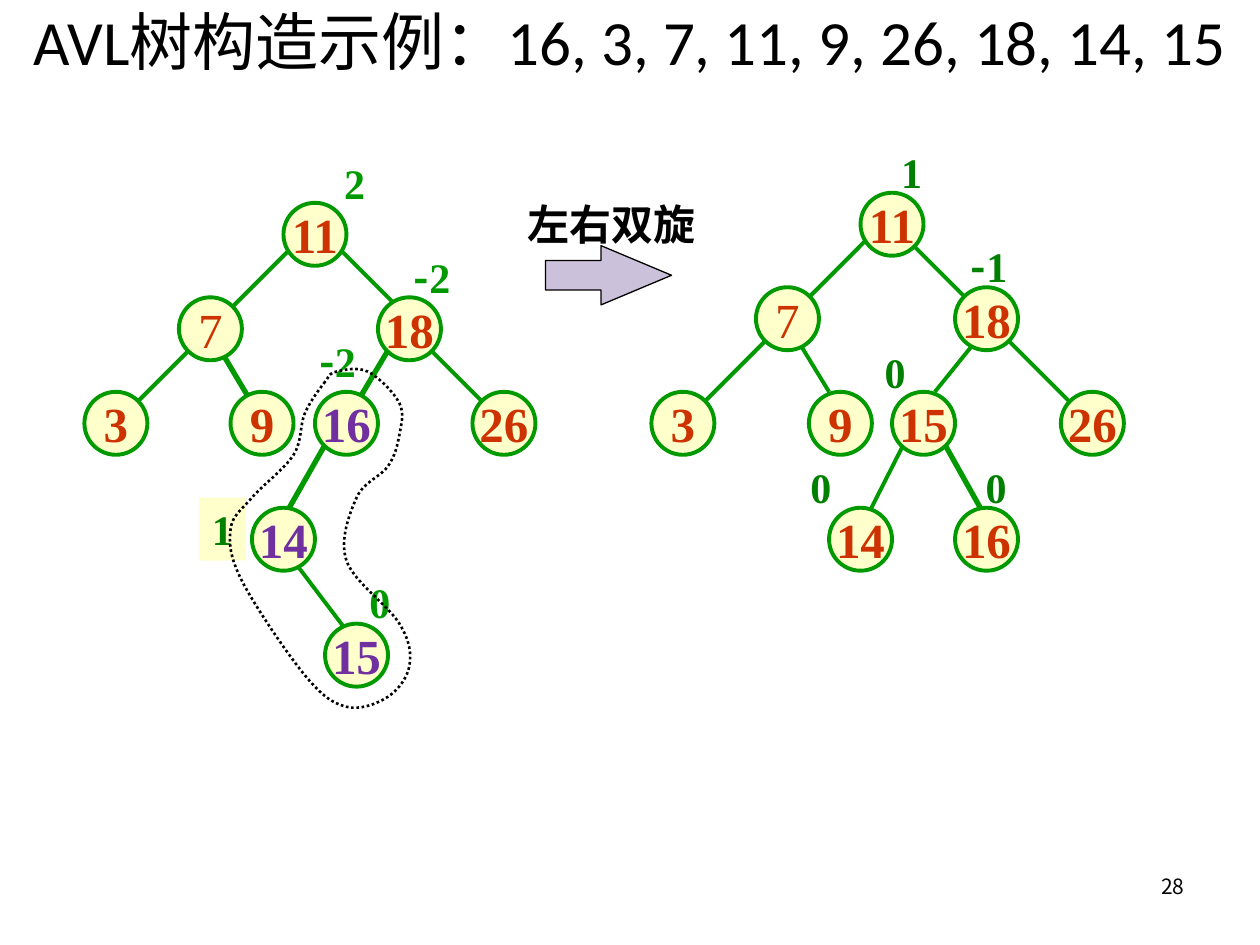
import lxml.etree
import pptx
import pptx.dml.color
import pptx.enum.dml
import pptx.enum.shapes
import pptx.enum.text
import pptx.oxml.ns
import pptx.util

Inches = pptx.util.Inches
Pt = pptx.util.Pt
RGBColor = pptx.dml.color.RGBColor
Shape = pptx.enum.shapes.MSO_SHAPE
Align = pptx.enum.text.PP_ALIGN
Anchor = pptx.enum.text.MSO_ANCHOR
AutoSize = pptx.enum.text.MSO_AUTO_SIZE
qn = pptx.oxml.ns.qn

BLACK = RGBColor(0x00, 0x00, 0x00)
GREEN = RGBColor(0x00, 0x99, 0x00)
DARK_GREEN = RGBColor(0x00, 0x80, 0x00)
CREAM = RGBColor(0xFF, 0xFF, 0xCC)
RED = RGBColor(0xCC, 0x33, 0x00)
PURPLE = RGBColor(0x70, 0x30, 0xA0)
LILAC = RGBColor(0xCC, 0xC1, 0xDA)

SERIF = "Times New Roman"
CJK = "Noto Sans CJK SC"
NODE_SIZE = 0.5
FRAME = {"word_wrap": False, "vertical_anchor": Anchor.TOP}

BEFORE = {
    "nodes": [
        ("11", 1.58, 0.5), ("7", 0.75, 1.25), ("18", 2.33, 1.25),
        ("3", 0, 2), ("9", 1.16, 2), ("16", 1.83, 2), ("26", 3.08, 2),
        ("14", 1.33, 2.92), ("15", 1.91, 3.84),
    ],
    "edges": [
        (1.75, 0.75, 1.16, 1.34), (2, 0.84, 2.5, 1.34),
        (0.91, 1.59, 0.25, 2.25), (1.66, 3.34, 2.16, 4),
        (2.75, 1.67, 3.25, 2.17),
    ],
    "thick_edges": [
        (1.08, 1.67, 1.33, 2.09), (2.41, 1.67, 2.16, 2.09),
        (1.91, 2.42, 1.58, 3),
    ],
    "balances": [
        ("2", 1.96, 0.09, GREEN), ("-2", 2.49, 0.84, GREEN),
        ("-2", 1.74, 1.5, GREEN), ("1", 0.91, 2.84, DARK_GREEN),
        ("0", 2.16, 3.42, GREEN),
    ],
    "rotated": {"16", "14", "15"},
    "highlighted": {"1"},
    "loop": [
        (1.91, 1.92), (1.75, 2.17), (1.66, 2.5), (1.33, 2.84), (1.16, 3.09),
        (1.25, 3.5), (1.75, 4.25), (2.08, 4.5), (2.41, 4.42), (2.58, 4.17),
        (2.5, 3.84), (2.08, 3.34), (2.16, 2.84), (2.41, 2.59), (2.5, 2.34),
        (2.5, 2.09), (2.25, 1.84), (2, 1.84),
    ],
}
AFTER = {
    "nodes": [
        ("11", 1.66, 0.42), ("7", 0.83, 1.17), ("18", 2.41, 1.17),
        ("3", 0, 2), ("9", 1.25, 2), ("15", 1.91, 2), ("26", 3.25, 2),
        ("14", 1.41, 2.92), ("16", 2.41, 2.92),
    ],
    "edges": [
        (1.75, 0.75, 1.16, 1.34), (2.08, 0.84, 2.58, 1.34),
        (0.91, 1.59, 0.41, 2.09), (1.16, 1.59, 1.41, 2),
        (2.58, 1.59, 2.25, 2), (2.83, 1.59, 3.58, 2.34),
        (2, 2.42, 1.66, 3.09),
    ],
    "thick_edges": [(2.33, 2.42, 2.75, 3.17)],
    "balances": [
        ("1", 1.88, 0, DARK_GREEN), ("-1", 2.41, 0.75, DARK_GREEN),
        ("0", 1.75, 1.59, DARK_GREEN), ("0", 1.16, 2.5, DARK_GREEN),
        ("0", 2.55, 2.5, DARK_GREEN),
    ],
    "rotated": set(),
    "highlighted": set(),
    "loop": [],
}


def set_attrs(obj, values):
    for name, value in values.items():
        setattr(obj, name, value)


def write_text(sp, runs, size, color, bold=False, align=Align.CENTER, **frame):
    tf = sp.text_frame
    set_attrs(tf, {**FRAME, **frame})
    p = tf.paragraphs[0]
    p.alignment = align
    for text, font in runs:
        r = p.add_run()
        r.text = text
        set_attrs(r.font, {"name": font, "size": Pt(size), "bold": bold})
        r.font.color.rgb = color
        ea = lxml.etree.SubElement(r.font._element, qn("a:ea"))
        ea.set("typeface", font if font.startswith("Noto") else CJK)


def add_text(s, box, runs, size, color, **options):
    sp = s.shapes.add_textbox(*map(Inches, box))
    write_text(sp, runs, size, color, **options)
    return sp


def style_shape(sp, fill, line, width):
    sp.shadow.inherit = False
    if fill is None:
        sp.fill.background()
    else:
        sp.fill.solid()
        sp.fill.fore_color.rgb = fill
    sp.line.color.rgb = line
    sp.line.width = Pt(width)


def add_edge(s, left, top, edge, width):
    x1, y1, x2, y2 = edge
    ends = (left + x1, top + y1, left + x2, top + y2)
    line = s.shapes.add_connector(
        pptx.enum.shapes.MSO_CONNECTOR.STRAIGHT, *map(Inches, ends))
    line.line.color.rgb = GREEN
    line.line.width = Pt(width)
    lxml.etree.SubElement(line._element.spPr, qn("a:effectLst"))


def add_node(s, box, key, color):
    sp = s.shapes.add_shape(Shape.OVAL, *map(Inches, box))
    style_shape(sp, CREAM, GREEN, 2.25)
    write_text(sp, [(key, SERIF)], 28, color, bold=key != "7",
               vertical_anchor=Anchor.MIDDLE)


def add_balance(s, left, top, text, color, highlighted):
    runs = [(c, CJK if c == "-" else SERIF) for c in text]
    width = 0.54 if len(text) > 1 else 0.37
    sp = add_text(s, (left, top, width, 0.5), runs, 24, color, bold=True,
                  auto_size=AutoSize.SHAPE_TO_FIT_TEXT)
    if highlighted:
        sp.fill.solid()
        sp.fill.fore_color.rgb = CREAM


def round_corners(sp):
    outline = next(sp._element.iter(qn("a:path")))
    anchors = [(int(pt.get("x")), int(pt.get("y")))
               for pt in outline.iter(qn("a:pt"))]
    for segment in outline.findall(qn("a:lnTo")):
        outline.remove(segment)
    close = outline.find(qn("a:close"))
    n = len(anchors)
    for i in range(n):
        a, b, c, d = (anchors[(i + k) % n] for k in (-1, 0, 1, 2))
        leave = [q + (r - p) / 6 for p, q, r in zip(a, b, c)]
        arrive = [q - (r - p) / 6 for p, q, r in zip(b, c, d)]
        curve = lxml.etree.Element(qn("a:cubicBezTo"))
        for x, y in (leave, arrive, c):
            lxml.etree.SubElement(curve, qn("a:pt"),
                                  x=str(round(x)), y=str(round(y)))
        close.addprevious(curve)


def add_loop(s, left, top, anchors):
    points = [(Inches(left + x), Inches(top + y)) for x, y in anchors]
    outline = s.shapes.build_freeform(*points[0])
    outline.add_line_segments(points[1:], close=True)
    sp = outline.convert_to_shape()
    round_corners(sp)
    style_shape(sp, None, BLACK, 1.5)
    sp.line.dash_style = pptx.enum.dml.MSO_LINE.ROUND_DOT


def add_tree(s, left, top, tree):
    group = s.shapes.add_group_shape()
    for key, width in (("edges", 2.25), ("thick_edges", 3)):
        for edge in tree[key]:
            add_edge(group, left, top, edge, width)
    for key, x, y in tree["nodes"]:
        color = PURPLE if key in tree["rotated"] else RED
        add_node(group, (left + x, top + y, NODE_SIZE, NODE_SIZE), key, color)
    for text, x, y, color in tree["balances"]:
        add_balance(group, left + x, top + y, text, color,
                    text in tree["highlighted"])
    if tree["loop"]:
        add_loop(group, left, top, tree["loop"])


def add_rotation_arrow(s, left, top):
    add_text(s, (left, top, 1.55, 0.5), [("左右双旋", SERIF)], 24, BLACK,
             bold=True, auto_size=AutoSize.SHAPE_TO_FIT_TEXT)
    box = (left + 0.25, top + 0.42, 1, 0.47)
    sp = s.shapes.add_shape(Shape.RIGHT_ARROW, *map(Inches, box))
    sp.adjustments[0] = 0.5
    sp.adjustments[1] = 1.19
    style_shape(sp, LILAC, BLACK, 0.75)


def add_title(s, box):
    title = "AVL树构造示例：16, 3, 7, 11, 9, 26, 18, 14, 15"
    add_text(s, box, [(title, "Calibri")], 36, BLACK, word_wrap=True)


def add_page_number(s, box):
    add_text(s, box, [("28", "Noto Sans CJK JP")], 12, BLACK,
             align=Align.RIGHT, word_wrap=True, vertical_anchor=Anchor.MIDDLE)


def main():
    prs = pptx.Presentation()
    set_attrs(prs, {"slide_width": Inches(10), "slide_height": Inches(7.5)})
    s = prs.slides.add_slide(prs.slide_layouts[6])
    add_page_number(s, (7.17, 6.78, 2.33, 0.5))
    add_tree(s, 5.17, 1.11, AFTER)
    add_tree(s, 0.67, 1.11, BEFORE)
    add_rotation_arrow(s, 4.08, 1.53)
    add_title(s, (0, -0.03, 10, 1.02))
    prs.save("out.pptx")


if __name__ == "__main__":
    main()
